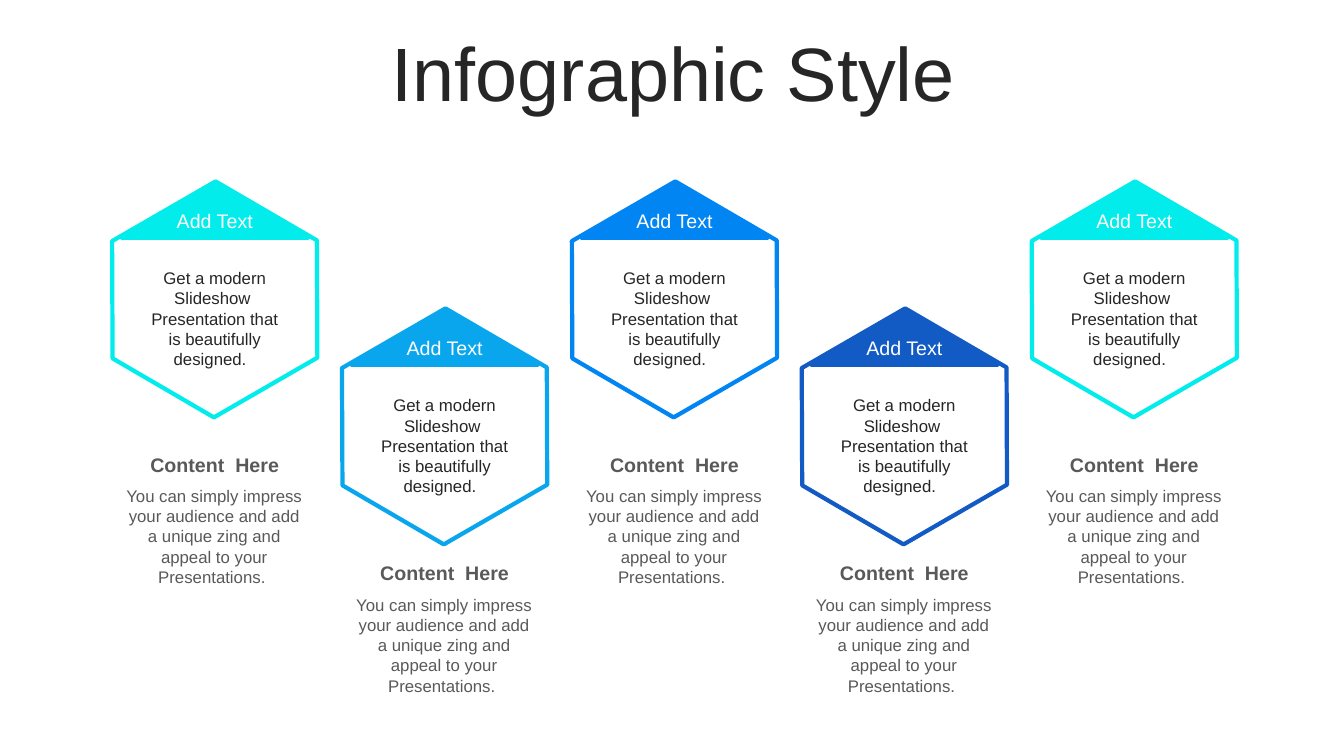
from pptx import Presentation
from pptx.dml.color import RGBColor
from pptx.enum.shapes import MSO_SHAPE as Shape
from pptx.enum.text import MSO_ANCHOR as Anchor, PP_ALIGN as Align
from pptx.util import Inches, Pt

TITLE = "Infographic Style"
LABEL = "Add Text"
MESSAGE = "Get a modern Slideshow  Presentation that is beautifully designed.  "
HEADING = "Content  Here"
DETAIL = ("You can simply impress your audience and add a unique zing "
          "and appeal to your Presentations. ")
COLORS = ["02ECEC", "0AA6ED", "0085F2", "125AC4", "02ECEC"]
WHITE, DARK, GRAY = "FFFFFF", "262626", "595959"

FIRST_CENTER, PITCH = 2.13, 2.28
BADGE_TOP, BADGE_DROP = 1.83, 1.26
CAPTION_TOP, CAPTION_DROP = 4.44, 1.08


def paint(target, color):
    target.solid()
    target.fore_color.rgb = RGBColor.from_string(color)


def add_text(parent, text, left, top, width, height, size=12, color=DARK,
             bold=False, anchor=Anchor.TOP, spacing=1.0, before=0):
    box = parent.shapes.add_textbox(
        Inches(left), Inches(top), Inches(width), Inches(height))
    frame = box.text_frame
    frame.word_wrap = True
    frame.vertical_anchor = anchor
    para = frame.paragraphs[0]
    para.alignment = Align.CENTER
    para.line_spacing = spacing
    para.space_before = Pt(before)
    span = para.add_run()
    span.text = text
    span.font.name = "Arial"
    span.font.size = Pt(size)
    span.font.bold = bold
    span.font.color.rgb = RGBColor.from_string(color)


def add_outline(parent, kind, center, top, width, height, fill, line):
    shape = parent.shapes.add_shape(
        kind, Inches(center - width / 2), Inches(top),
        Inches(width), Inches(height))
    shape.shadow.inherit = False
    paint(shape.fill, fill)
    paint(shape.line.fill, line)
    shape.line.width = Pt(3)
    return shape


def add_badge(page, center, top, color):
    group = page.shapes.add_group_shape()
    hexagon = add_outline(group, Shape.HEXAGON, center, top + 0.13,
                          2.34, 2.02, WHITE, color)
    hexagon.adjustments[0] = 0.286
    hexagon.rotation = 330
    add_outline(group, Shape.ISOSCELES_TRIANGLE, center, top,
                1.85, 0.53, color, color)
    left = center - 0.81
    add_text(group, LABEL, left, top + 0.19, 1.62, 0.34, size=14, color=WHITE)
    add_text(group, MESSAGE, left, top + 0.78, 1.62, 1.11)


def add_caption(page, center, top):
    group = page.shapes.add_group_shape()
    add_text(group, DETAIL, center - 1, top + 0.33, 1.99, 1.11, color=GRAY)
    add_text(group, HEADING, center - 1.01, top, 2.02, 0.34,
             size=14, color=GRAY, bold=True)


def main():
    deck = Presentation()
    deck.slide_width, deck.slide_height = Inches(13.33), Inches(7.5)
    page = deck.slides.add_slide(deck.slide_layouts[6])
    paint(page.background.fill, WHITE)
    add_text(page, TITLE, 0.35, 0.37, 12.66, 0.79, size=54,
             anchor=Anchor.MIDDLE, spacing=0.9, before=10)
    for index, color in enumerate(COLORS):
        center = FIRST_CENTER + index * PITCH
        lowered = index % 2
        add_badge(page, center, BADGE_TOP + lowered * BADGE_DROP, color)
        add_caption(page, center, CAPTION_TOP + lowered * CAPTION_DROP)
    deck.save("out.pptx")


if __name__ == "__main__":
    main()
